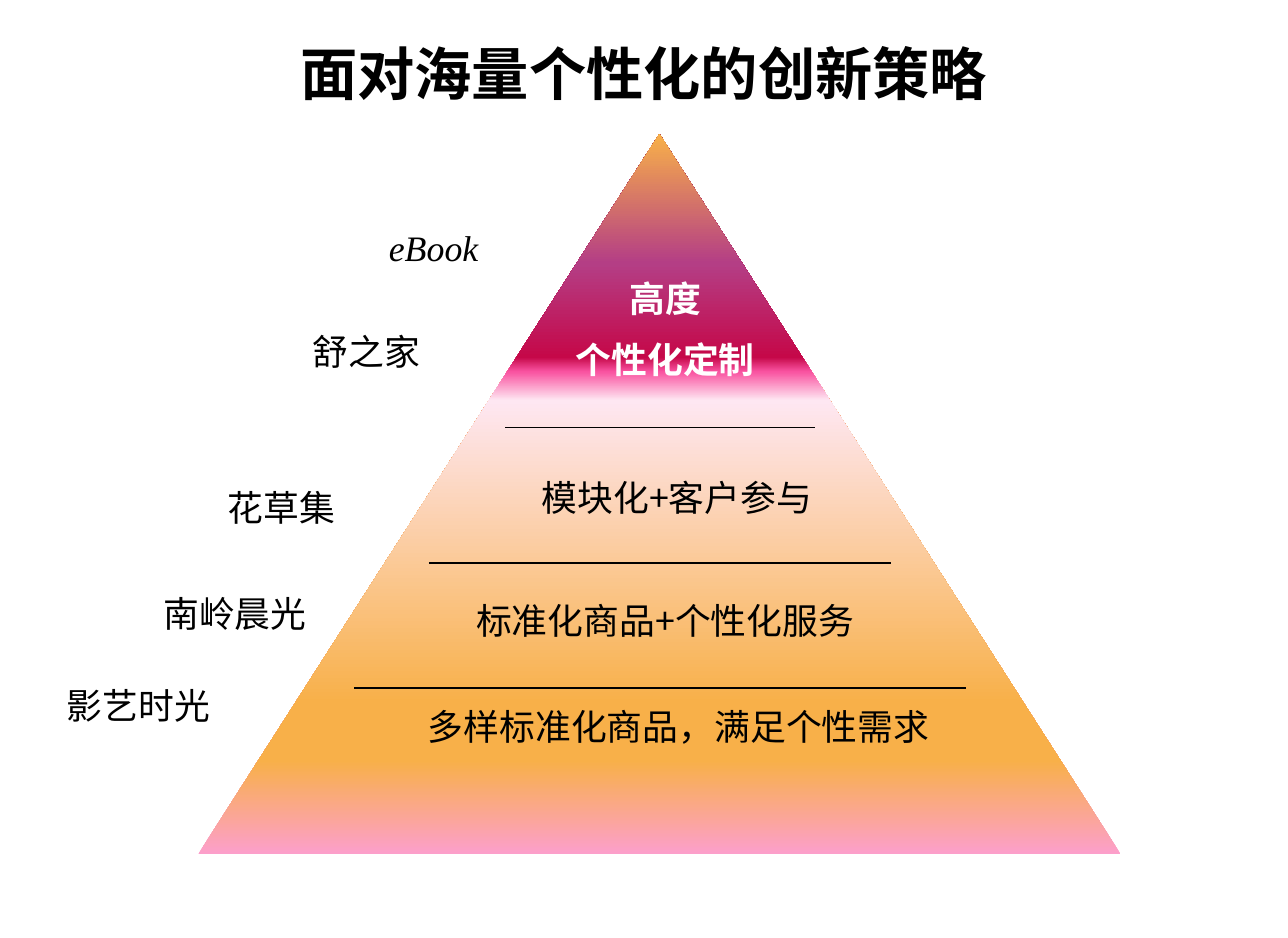
from lxml import etree
from pptx import Presentation
from pptx.dml.color import RGBColor
from pptx.enum.shapes import MSO_CONNECTOR, MSO_SHAPE
from pptx.enum.text import MSO_ANCHOR, MSO_AUTO_SIZE, PP_ALIGN
from pptx.oxml.ns import qn
from pptx.util import Cm, Pt

STRAIGHT = MSO_CONNECTOR.STRAIGHT
TRIANGLE = MSO_SHAPE.ISOSCELES_TRIANGLE
MIDDLE, TOP = MSO_ANCHOR.MIDDLE, MSO_ANCHOR.TOP
GROW = MSO_AUTO_SIZE.SHAPE_TO_FIT_TEXT
CENTER, LEFT = PP_ALIGN.CENTER, PP_ALIGN.LEFT

COLORS = {
    "ink": "000000", "white": "FFFFFF", "pink": "FC9FCB", "orange": "F8B049",
    "blush": "FEE7F2", "rose": "F952A0", "crimson": "C50849", "purple": "B43E85",
}
SANS, SERIF = "Noto Sans CJK SC", "Times New Roman"

# Position in percent, from the base of the pyramid to its tip
PYRAMID_STOPS = [
    (0, "pink"), (13, "orange"), (21, "orange"), (63, "blush"),
    (67, "rose"), (69, "crimson"), (82, "purple"), (100, "orange"),
]
# left, right, height on the slide
DIVIDERS = [(9.96, 16.08, 8.43), (8.46, 17.58, 11.1), (6.99, 19.05, 13.56)]
# lines, left, top, width
LEVELS = [
    (["模块化+客户参与"], 8.69, 9.25, 9.32),
    (["标准化商品+个性化服务"], 8.46, 11.68, 9.32),
    (["多样标准化商品，满足个性需求"], 8.05, 13.77, 10.67),
]
# name, left, top
EXAMPLES = [
    ("舒之家", 5.92, 6.38), ("花草集", 4.24, 9.45),
    ("南岭晨光", 2.97, 11.53), ("影艺时光", 1.07, 13.36),
]


class PyramidSlide:
    """Holds the text style and the slide being drawn; lengths are in cm."""

    size = 20
    indent = 1.02

    def __init__(self, slide):
        self.slide = slide

    def pyramid(self, left, top, width, height, stops):
        shape = self.slide.shapes.add_shape(
            TRIANGLE, Cm(left), Cm(top), Cm(width), Cm(height))
        shape.shadow.inherit = False
        shape.line.fill.background()
        shape.fill.gradient()
        shape.fill.gradient_angle = 90
        stop_list = shape._element.spPr.find(".//" + qn("a:gsLst"))
        for default_stop in list(stop_list):
            stop_list.remove(default_stop)
        for percent, color in stops:
            stop = etree.SubElement(stop_list, qn("a:gs"), pos=str(percent * 1000))
            etree.SubElement(stop, qn("a:srgbClr"), val=COLORS[color])

    def divider(self, left, right, y):
        line = self.slide.shapes.add_connector(
            STRAIGHT, Cm(left), Cm(y), Cm(right), Cm(y))
        line.line.color.rgb = RGBColor.from_string(COLORS["ink"])
        line.line.width = Pt(0.75)
        etree.SubElement(line._element.spPr, qn("a:effectLst"))

    def title(self, text, left, top, width, height):
        frame = self._frame(left, top, width, height, MIDDLE)
        paragraph = frame.paragraphs[0]
        paragraph.alignment = CENTER
        self._run(paragraph, text, size=32, bold=True)

    def label(self, lines, left, top, width, height=1.12, align=LEFT, **style):
        frame = self._frame(left, top, width, height, TOP)
        frame.auto_size = GROW
        for number, text in enumerate(lines):
            paragraph = frame.add_paragraph() if number else frame.paragraphs[0]
            paragraph.alignment = align
            self._hang(paragraph)
            self._run(paragraph, text, **style)

    def _frame(self, left, top, width, height, anchor):
        box = self.slide.shapes.add_textbox(
            Cm(left), Cm(top), Cm(width), Cm(height))
        frame = box.text_frame
        frame.word_wrap = True
        frame.vertical_anchor = anchor
        return frame

    def _hang(self, paragraph):
        """Set a hanging indent and half a line of space before."""
        properties = paragraph._p.get_or_add_pPr()
        properties.set("marL", str(Cm(self.indent)))
        properties.set("indent", str(-Cm(self.indent)))
        before = etree.SubElement(properties, qn("a:spcBef"))
        etree.SubElement(before, qn("a:spcPct"), val="50000")

    def _run(self, paragraph, text, size=None, color="ink", font=SANS,
             bold=False, italic=False):
        run = paragraph.add_run()
        run.text = text
        run.font.size = Pt(size or self.size)
        run.font.bold = bold
        run.font.italic = italic
        run.font.color.rgb = RGBColor.from_string(COLORS[color])
        run.font.name = font
        etree.SubElement(run.font._element, qn("a:ea"), typeface=SANS)


def main():
    deck = Presentation()
    deck.slide_width, deck.slide_height = Cm(25.4), Cm(18.49)
    page = PyramidSlide(deck.slides.add_slide(deck.slide_layouts[6]))

    page.pyramid(3.91, 2.64, 18.19, 14.2, PYRAMID_STOPS)
    page.title("面对海量个性化的创新策略", 1.27, 0.2, 22.86, 2.46)
    for left, right, y in DIVIDERS:
        page.divider(left, right, y)

    page.label(["高度", "个性化定制"], 8.46, 5.33, 9.32, height=2.39,
               align=CENTER, color="white", bold=True)
    for lines, left, top, width in LEVELS:
        page.label(lines, left, top, width, align=CENTER)

    page.label(["eBook"], 7.42, 4.32, 4.45, font=SERIF, italic=True)
    for name, left, top in EXAMPLES:
        page.label([name], left, top, 4.45)

    deck.save("out.pptx")


if __name__ == "__main__":
    main()
